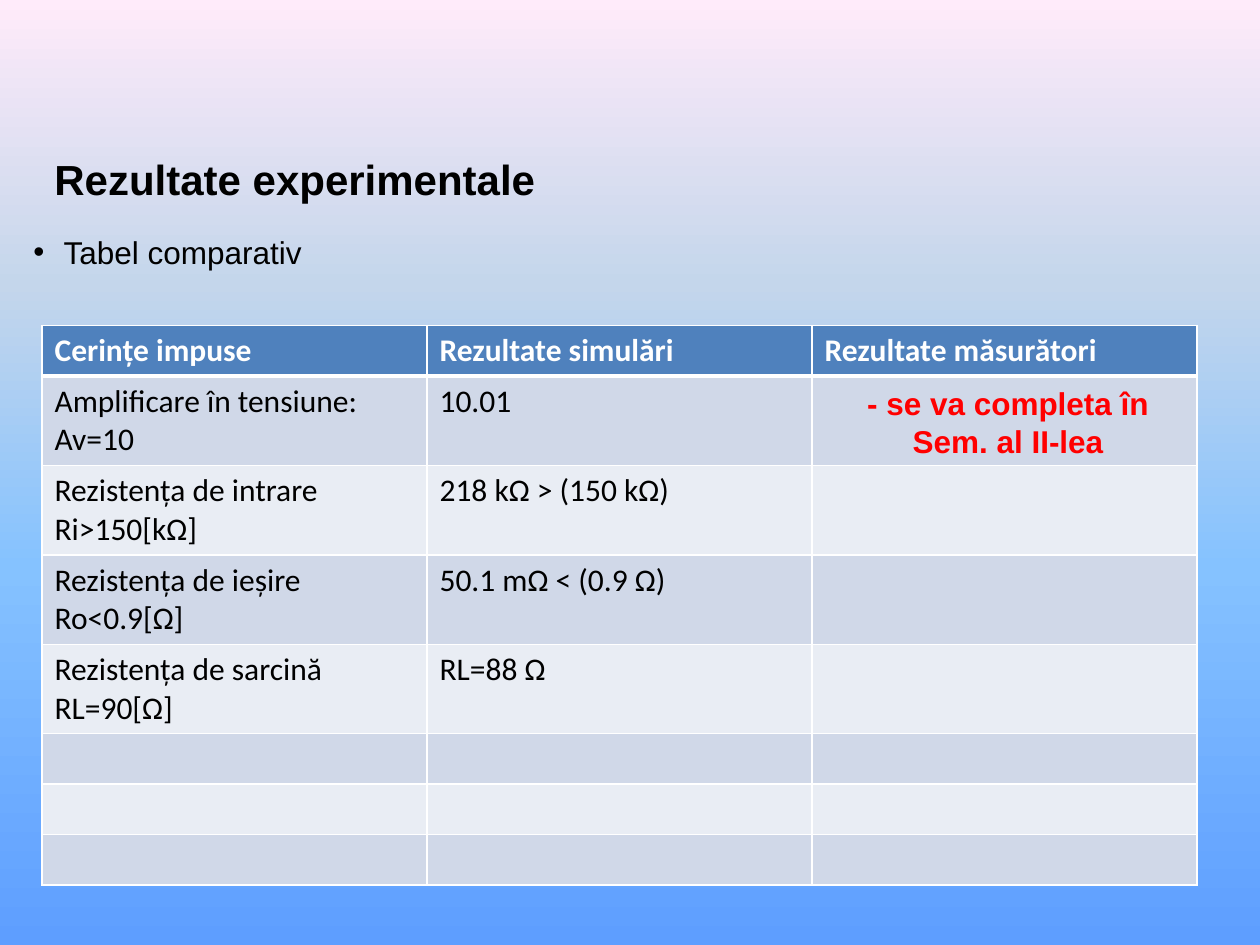
from lxml import etree
from pptx import Presentation
from pptx import util as u
from pptx.dml.color import RGBColor
from pptx.enum import text
from pptx.oxml.ns import qn

BLACK = RGBColor(0x00, 0x00, 0x00)
WHITE = RGBColor(0xFF, 0xFF, 0xFF)
RED = RGBColor(0xFF, 0x00, 0x00)
HEADER_BLUE = RGBColor(0x4F, 0x81, 0xBD)
BAND_DARK = RGBColor(0xD0, 0xD8, 0xE8)
BAND_LIGHT = RGBColor(0xE9, 0xED, 0xF4)
SKY = [
    (0, RGBColor(0x5E, 0x9E, 0xFF)),
    (40, RGBColor(0x85, 0xC2, 0xFF)),
    (70, RGBColor(0xC4, 0xD6, 0xEB)),
    (100, RGBColor(0xFF, 0xEB, 0xFA)),
]

deck = Presentation()
deck.slide_width, deck.slide_height = u.Inches(10), u.Inches(7.5)
COL, ROW = deck.slide_width // 60, deck.slide_height // 90
slide = deck.slides.add_slide(deck.slide_layouts[6])


def write(frame, words, font="Arial", size=18, color=BLACK, bold=False,
          align=text.PP_ALIGN.LEFT, anchor=text.MSO_ANCHOR.TOP):
    frame.word_wrap = True
    frame.vertical_anchor = anchor
    line = frame.paragraphs[0]
    line.alignment = align
    target = line.add_run() if words else line
    if words:
        target.text = words
    target.font.name = font
    target.font.size = u.Pt(size)
    target.font.bold = bold
    target.font.color.rgb = color
    return line


def add_border(cell, position, side, points):
    edge = etree.Element(qn(f"a:ln{side}"), w=str(u.Pt(points)))
    paint = etree.SubElement(edge, qn("a:solidFill"))
    etree.SubElement(paint, qn("a:srgbClr"), val=str(WHITE))
    cell._tc.get_or_add_tcPr().insert(position, edge)


backdrop = slide.background.fill
backdrop.gradient()
gradient = slide.background._cSld.find(".//" + qn("a:gradFill"))
stops = gradient.find(qn("a:gsLst"))
for stop in list(stops):
    stops.remove(stop)
for share, tint in SKY:
    stop = etree.SubElement(stops, qn("a:gs"), pos=str(share * 1000))
    etree.SubElement(stop, qn("a:srgbClr"), val=str(tint))
gradient.find(qn("a:lin")).set("ang", str(270 * 60000))

heading = slide.shapes.add_textbox(2 * COL, 14 * ROW, 51 * COL, 6 * ROW)
write(heading.text_frame, "Rezultate experimentale", size=24, bold=True,
      anchor=text.MSO_ANCHOR.MIDDLE)

subheading = slide.shapes.add_textbox(COL, 21 * ROW, 56 * COL, 6 * ROW)
bullet_line = write(subheading.text_frame, "Tabel comparativ",
                    align=text.PP_ALIGN.JUSTIFY, anchor=text.MSO_ANCHOR.MIDDLE)
bullet_format = bullet_line._p.get_or_add_pPr()
bullet_format.set("marL", str(u.Inches(0.24)))
bullet_format.set("indent", str(u.Inches(-0.24)))
etree.SubElement(bullet_format, qn("a:buFont"), typeface="Arial")
etree.SubElement(bullet_format, qn("a:buChar"), char="•")

RESULTS = [
    ("Cerințe impuse", "Rezultate simulări", "Rezultate măsurători"),
    ("Amplificare în tensiune: Av=10", "10.01", ""),
    ("Rezistența de intrare Ri>150[kΩ]", "218 kΩ > (150 kΩ)", ""),
    ("Rezistența de ieșire Ro<0.9[Ω]", "50.1 mΩ < (0.9 Ω)", ""),
    ("Rezistența de sarcină RL=90[Ω]", "RL=88 Ω", ""),
    ("", "", ""),
    ("", "", ""),
    ("", "", ""),
]
comparison = slide.shapes.add_table(
    len(RESULTS), 3, 2 * COL, 31 * ROW, 55 * COL, 53 * ROW).table
for column in comparison.columns:
    column.width = 55 * COL // 3
for r, entries in enumerate(RESULTS):
    is_header = r == 0
    comparison.rows[r].height = u.Inches(0.71 if 1 <= r <= 4 else 0.4)
    for c, words in enumerate(entries):
        cell = comparison.cell(r, c)
        cell.fill.solid()
        cell.fill.fore_color.rgb = (
            HEADER_BLUE if is_header else BAND_DARK if r % 2 else BAND_LIGHT)
        write(cell.text_frame, words, font="Calibri", bold=is_header,
              color=WHITE if is_header else BLACK)
        widths = {"L": 1, "R": 1, "T": 3 if r == 1 else 1, "B": 3 if is_header else 1}
        for position, (side, points) in enumerate(widths.items()):
            add_border(cell, position, side, points)

pending = slide.shapes.add_textbox(39 * COL, 36 * ROW, 18 * COL, 8.5 * ROW)
write(pending.text_frame, "- se va completa în Sem. al II-lea", color=RED,
      bold=True, align=text.PP_ALIGN.CENTER)

deck.save("out.pptx")
